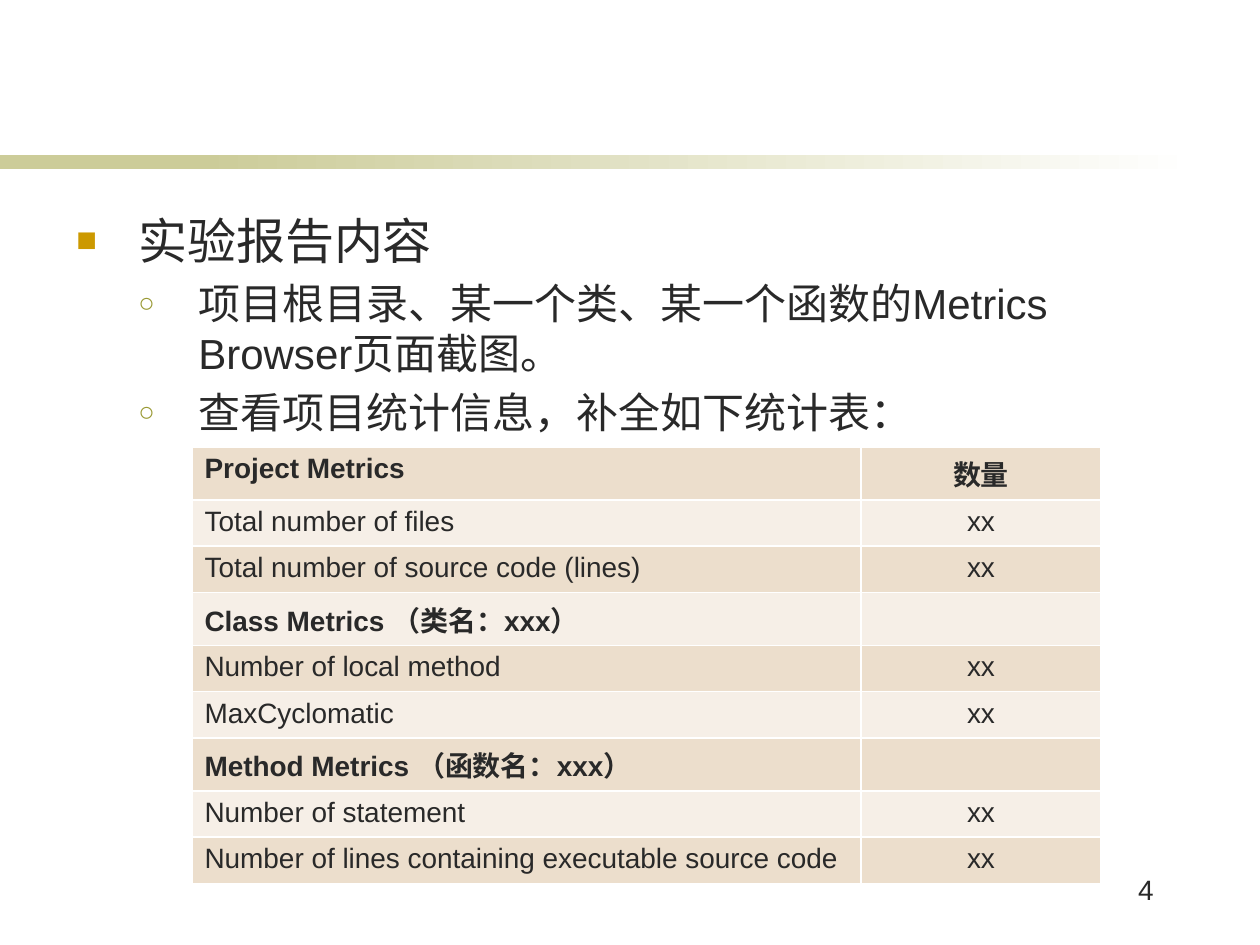
"""Builds the slide on the lab report contents, with its table of metrics."""
import dataclasses

import lxml.etree
import pptx
import pptx.dml.color
import pptx.enum.shapes
import pptx.enum.text
import pptx.oxml
import pptx.oxml.ns
import pptx.util


@dataclasses.dataclass(frozen=True)
class Theme:
    font: str = "Arial"
    text: str = "292929"
    white: str = "FFFFFF"
    bar: str = "CCCC99"
    first_bullet: str = "CC9900"
    second_bullet: str = "999933"
    bands: tuple = ("ECDECC", "F6EFE7")
    heading_size: int = 28
    body_size: int = 24
    small_size: int = 16


THEME = Theme()
SCALE = 914400 / 126
ALIGN = pptx.enum.text.PP_ALIGN


def px(*lengths):
    return [pptx.util.Emu(round(length * SCALE)) for length in lengths]


def format_paragraph(paragraph, size, bold=False, alignment=ALIGN.LEFT):
    paragraph.alignment = alignment
    for font in [paragraph.font] + [run.font for run in paragraph.runs]:
        font.name = THEME.font
        font.size = pptx.util.Pt(size)
        font.bold = bold
        font.color.rgb = pptx.dml.color.RGBColor.from_string(THEME.text)


presentation = pptx.Presentation()
presentation.slide_width, presentation.slide_height = px(1260, 945)
slide = presentation.slides.add_slide(presentation.slide_layouts[6])

for left, width, end_color in [(0, 294, THEME.bar), (199, 998, THEME.white)]:
    bar = slide.shapes.add_shape(
        pptx.enum.shapes.MSO_SHAPE.RECTANGLE, *px(left, 155, width, 14)
    )
    bar.shadow.inherit = False
    bar.line.fill.background()
    bar.fill.gradient()
    bar.fill.gradient_angle = 0
    for stop, color in zip(bar.fill.gradient_stops, (THEME.bar, end_color)):
        stop.color.rgb = pptx.dml.color.RGBColor.from_string(color)

body = slide.shapes.add_textbox(*px(64, 204, 1121, 605)).text_frame
body.word_wrap = True
first_style = (THEME.heading_size, 62, 62, "■", THEME.first_bullet, 70)
second_style = (THEME.body_size, 122, 60, "○", THEME.second_bullet, 65)
outline = [
    ("实验报告内容", 0, first_style),
    ("项目根目录、某一个类、某一个函数的Metrics Browser页面截图。", 1, second_style),
    ("查看项目统计信息，补全如下统计表：", 1, second_style),
]
body.text = "\n".join(text for text, level, style in outline)
for paragraph, (text, level, style) in zip(body.paragraphs, outline):
    size, margin, hanging, bullet, color, percent = style
    format_paragraph(paragraph, size)
    paragraph.level = level
    paragraph.space_before = pptx.util.Pt(round(size * 0.2, 1))
    properties = paragraph._p.get_or_add_pPr()
    margin_length, hanging_length = px(margin, hanging)
    properties.set("marL", str(int(margin_length)))
    properties.set("indent", str(-int(hanging_length)))
    bullet_xml = pptx.oxml.parse_xml(
        f'<a:pPr {pptx.oxml.ns.nsdecls("a")}>'
        f'<a:buClr><a:srgbClr val="{color}"/></a:buClr>'
        f'<a:buSzPct val="{percent * 1000}"/>'
        f'<a:buFont typeface="{THEME.font}"/><a:buChar char="{bullet}"/></a:pPr>'
    )
    default_run = properties.find(pptx.oxml.ns.qn("a:defRPr"))
    for element in list(bullet_xml):
        default_run.addprevious(element)

number = slide.shapes.add_textbox(*px(1037, 866, 129, 63)).text_frame
number.word_wrap = True
number.text = "4"
format_paragraph(number.paragraphs[0], THEME.small_size, alignment=ALIGN.RIGHT)

metrics = [
    ("Project Metrics", "数量", True),
    ("Total number of files", "xx", False),
    ("Total number of source code (lines)", "xx", False),
    ("Class Metrics （类名：xxx）", "", True),
    ("Number of local method", "xx", False),
    ("MaxCyclomatic", "xx", False),
    ("Method Metrics （函数名：xxx）", "", True),
    ("Number of statement", "xx", False),
    ("Number of lines containing executable source code", "xx", False),
]
table = slide.shapes.add_table(len(metrics), 2, *px(192, 447, 909, 297)).table
table.first_row = False
table.horz_banding = False
for column, width in zip(table.columns, px(669, 240)):
    column.width = width
for row_index, (label, value, bold) in enumerate(metrics):
    table.rows[row_index].height = px(53 if bold else 44)[0]
    for column_index, text in enumerate((label, value)):
        cell = table.cell(row_index, column_index)
        cell.text = text
        alignment = ALIGN.CENTER if column_index else ALIGN.LEFT
        format_paragraph(
            cell.text_frame.paragraphs[0], THEME.small_size, bold, alignment
        )
        properties = cell._tc.get_or_add_tcPr()
        for side in ("lnL", "lnR", "lnT", "lnB"):
            border = lxml.etree.SubElement(
                properties, pptx.oxml.ns.qn(f"a:{side}"), w="12700"
            )
            fill = lxml.etree.SubElement(border, pptx.oxml.ns.qn("a:solidFill"))
            lxml.etree.SubElement(
                fill, pptx.oxml.ns.qn("a:srgbClr"), val=THEME.white
            )
        cell.fill.solid()
        cell.fill.fore_color.rgb = pptx.dml.color.RGBColor.from_string(
            THEME.bands[row_index % 2]
        )

presentation.save("out.pptx")
